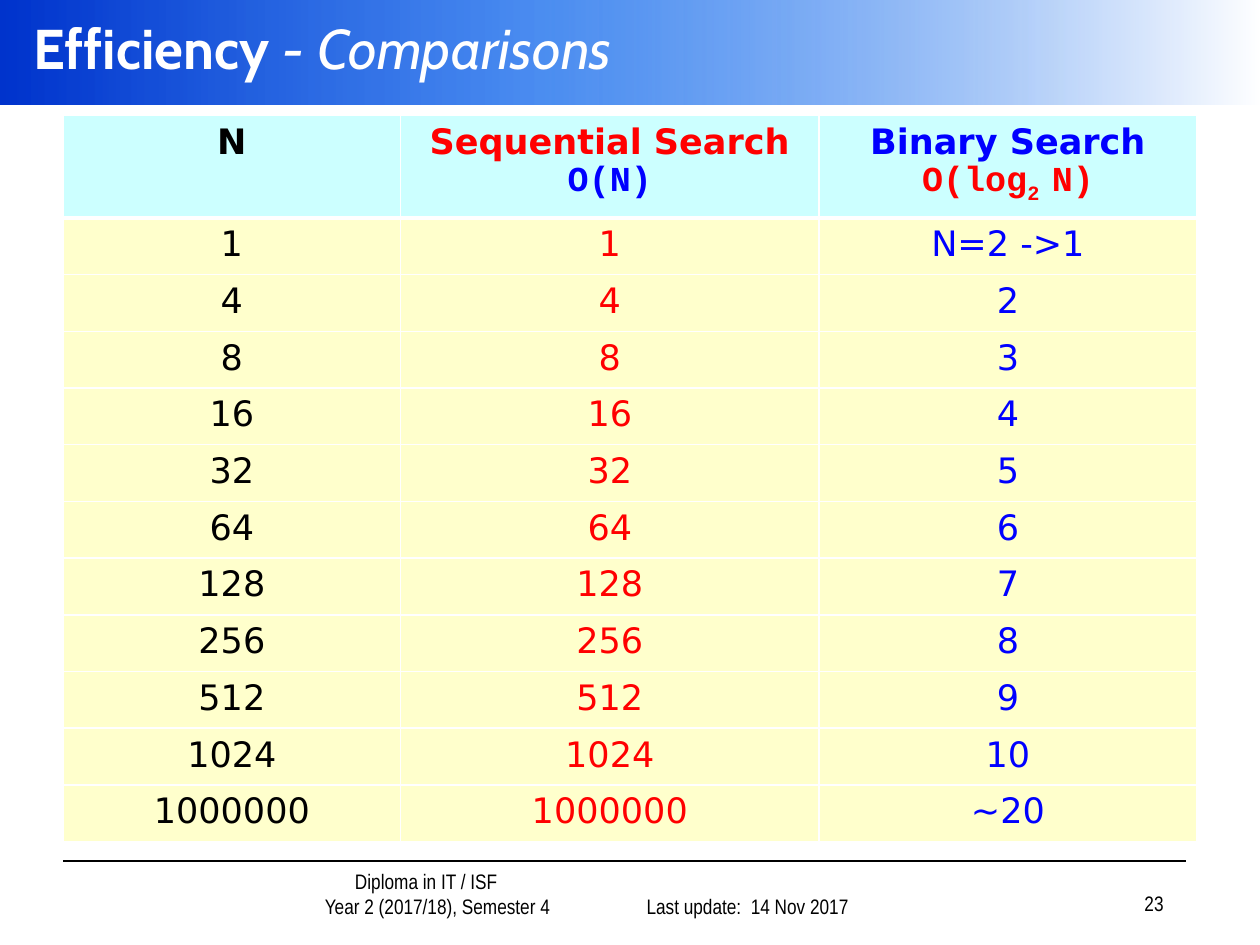
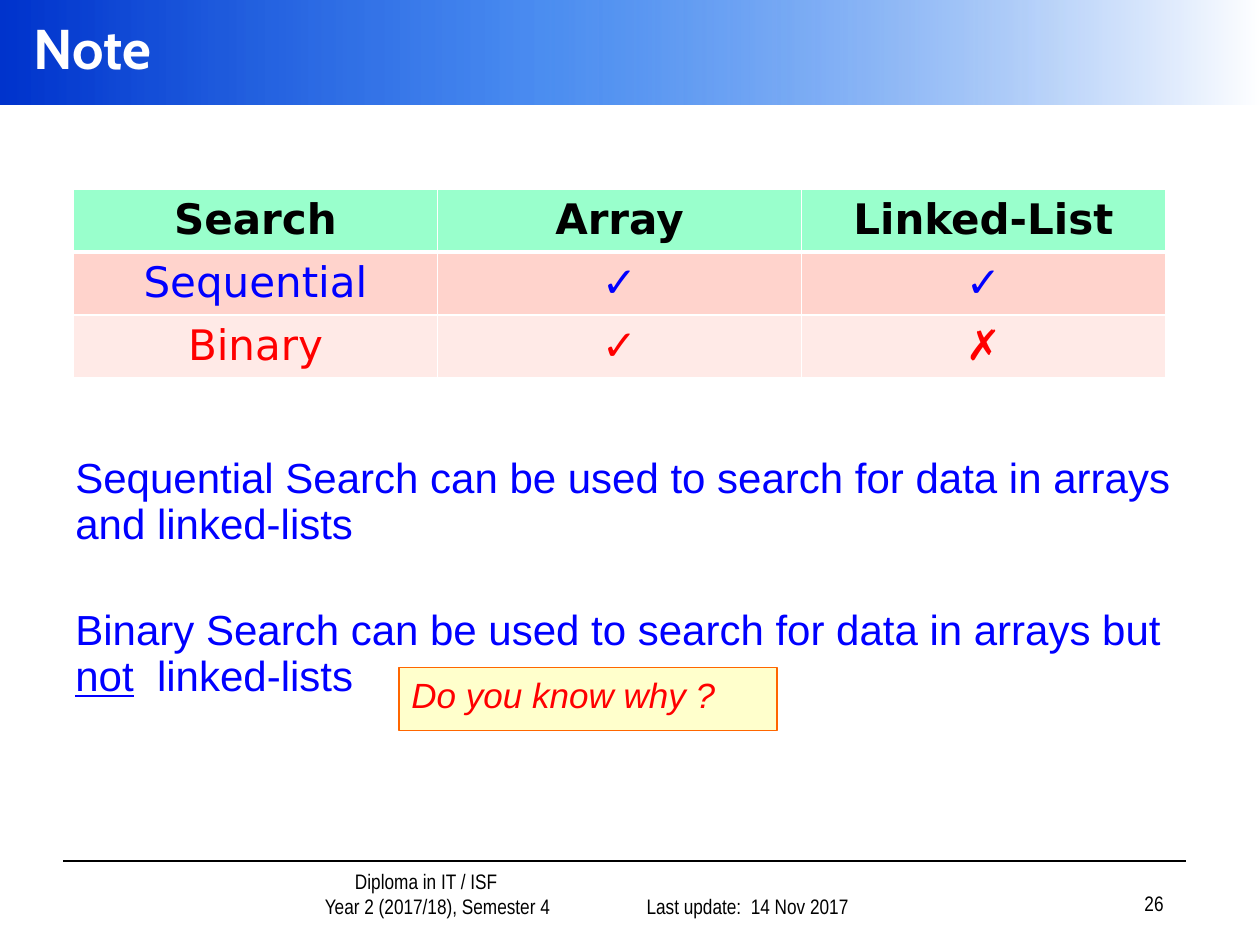
from dataclasses import dataclass, replace

from lxml import etree
from pptx import Presentation
from pptx.dml.color import RGBColor
from pptx.enum.shapes import MSO_CONNECTOR, MSO_SHAPE
from pptx.enum.text import MSO_ANCHOR, PP_ALIGN
from pptx.oxml import parse_xml
from pptx.oxml.ns import nsdecls, qn
from pptx.util import Pt

LEFT, CENTER, RIGHT = PP_ALIGN.LEFT, PP_ALIGN.CENTER, PP_ALIGN.RIGHT
TOP, MIDDLE, BOTTOM = MSO_ANCHOR.TOP, MSO_ANCHOR.MIDDLE, MSO_ANCHOR.BOTTOM
RECTANGLE = MSO_SHAPE.RECTANGLE
STRAIGHT = MSO_CONNECTOR.STRAIGHT


@dataclass(frozen=True)
class Theme:
    black: str = "000000"
    white: str = "FFFFFF"
    red: str = "FF0000"
    blue: str = "0000FF"
    band_start: str = "0033CC"
    band_middle: str = "005EEB"
    cyan: str = "CCFFFF"
    cream: str = "FFFFCC"
    mint: str = "99FFCC"
    rose: str = "FFD3CC"
    pale_rose: str = "FFEAE7"
    orange: str = "FF6600"
    title_font: str = "Cabin"
    body_font: str = "Arial"
    table_font: str = "DejaVu Sans"
    code_font: str = "Courier New"
    footer_font: str = "Arial Narrow"
    title_size: float = 32
    large_size: float = 24
    medium_size: float = 20
    footer_size: float = 12


THEME = Theme()


@dataclass(frozen=True)
class Frame:
    """Left, top, width and height in points."""
    left: float
    top: float
    width: float
    height: float

    def lengths(self) -> tuple:
        return Pt(self.left), Pt(self.top), Pt(self.width), Pt(self.height)


@dataclass(frozen=True)
class Span:
    text: str
    color: str = THEME.black
    size: float = THEME.medium_size
    font: str = THEME.table_font
    bold: bool = False
    italic: bool = False
    underline: bool = False
    baseline: int = 0


@dataclass(frozen=True)
class Para:
    spans: list[Span]
    align: PP_ALIGN = LEFT
    before: float = 0
    line_spacing: float = 1.0
    indent: float = 0


@dataclass(frozen=True)
class Cell:
    paras: list[Para]
    fill: str


def rgb(color: str) -> RGBColor:
    return RGBColor.from_string(color)


def write_paras(text_frame, paras: list[Para]) -> None:
    for number, para in enumerate(paras):
        paragraph = text_frame.add_paragraph() if number else text_frame.paragraphs[0]
        paragraph.alignment = para.align
        paragraph.space_before = Pt(para.before)
        paragraph.line_spacing = para.line_spacing
        if para.indent:
            paragraph._p.get_or_add_pPr().set("marL", str(Pt(para.indent)))
        for span in para.spans:
            run = paragraph.add_run()
            run.text = span.text
            run.font.name = span.font
            run.font.size = Pt(span.size)
            run.font.color.rgb = rgb(span.color)
            run.font.bold = span.bold
            run.font.italic = span.italic
            run.font.underline = span.underline
            if span.baseline:
                run._r.get_or_add_rPr().set("baseline", str(span.baseline * 1000))


def add_text(page, frame: Frame, paras: list[Para], anchor: MSO_ANCHOR = TOP) -> None:
    box = page.shapes.add_textbox(*frame.lengths())
    box.text_frame.word_wrap = True
    box.text_frame.vertical_anchor = anchor
    write_paras(box.text_frame, paras)


def add_rectangle(page, frame: Frame):
    shape = page.shapes.add_shape(RECTANGLE, *frame.lengths())
    shape.shadow.inherit = False
    return shape


def add_title_band(page) -> None:
    band = add_rectangle(page, Frame(0, 0, 720, 60))
    band.line.fill.background()
    band.fill.gradient()
    band.fill.gradient_angle = 0
    stops = band._element.spPr.find(qn("a:gradFill")).find(qn("a:gsLst"))
    for stop in list(stops):
        stops.remove(stop)
    for position, color, opacity in ((0, THEME.band_start, 100),
                                     (43, THEME.band_middle, 70),
                                     (100, THEME.white, 100)):
        stops.append(parse_xml(
            f'<a:gs {nsdecls("a")} pos="{position * 1000}"><a:srgbClr val="{color}">'
            f'<a:alpha val="{opacity * 1000}"/></a:srgbClr></a:gs>'))


def add_footer(page, page_number: int) -> None:
    rule = page.shapes.add_connector(STRAIGHT, Pt(36), Pt(492), Pt(678), Pt(492))
    rule.line.color.rgb = rgb(THEME.black)
    rule.line.width = Pt(1)
    etree.SubElement(rule._element.spPr, qn("a:effectLst"))

    def footer_para(text: str, align: PP_ALIGN, indent: float = 0) -> Para:
        span = Span(text, size=THEME.footer_size, font=THEME.footer_font)
        return Para([span], align, indent=indent)

    course = [footer_para("Diploma in IT / ISF", CENTER, 36),
              footer_para("Year 2 (2017/18), Semester 4", CENTER, 49)]
    add_text(page, Frame(121, 498, 209, 30.5), course, BOTTOM)
    add_text(page, Frame(342, 498, 150, 30.5),
             [footer_para("Last update:  14 Nov 2017", RIGHT)], BOTTOM)
    add_text(page, Frame(522, 497, 150, 30), [footer_para(str(page_number), RIGHT)], BOTTOM)


def start_page(deck, title: str, page_number: int, subtitle: str = ""):
    """Add a blank page with the title band, title and footer."""
    page = deck.slides.add_slide(deck.slide_layouts[6])
    add_title_band(page)
    add_footer(page, page_number)
    heading = Span(title, THEME.white, THEME.title_size, THEME.title_font, bold=True)
    spans = [heading]
    if subtitle:
        spans.append(replace(heading, text=subtitle, bold=False, italic=True))
    add_text(page, Frame(12, 0, 708, 54), [Para(spans)], MIDDLE)
    return page


def set_borders(cell, top: float, bottom: float) -> None:
    """Draw white borders; the side borders are one point wide."""
    widths = {"lnL": 1, "lnR": 1, "lnT": top, "lnB": bottom}
    properties = cell._tc.get_or_add_tcPr()
    for index, (side, width) in enumerate(widths.items()):
        properties.insert(index, parse_xml(
            f'<a:{side} {nsdecls("a")} w="{Pt(width)}"><a:solidFill>'
            f'<a:srgbClr val="{THEME.white}"/></a:solidFill></a:{side}>'))


def add_grid(page, frame: Frame, widths: list[float], heights: list[float],
             rows: list[list[Cell]]) -> None:
    table = page.shapes.add_table(len(rows), len(widths), *frame.lengths()).table
    table.horz_banding = False
    for column, width in zip(table.columns, widths):
        column.width = Pt(width)
    for row_number, (row, height) in enumerate(zip(rows, heights)):
        table.rows[row_number].height = Pt(height)
        for column_number, content in enumerate(row):
            cell = table.cell(row_number, column_number)
            cell.fill.solid()
            cell.fill.fore_color.rgb = rgb(content.fill)
            set_borders(cell, top=3 if row_number == 1 else 1,
                        bottom=3 if row_number == 0 else 1)
            write_paras(cell.text_frame, content.paras)


def build_comparisons(deck) -> None:
    page = start_page(deck, "Efficiency ", 23, "- Comparisons")
    code = Span("O(N)", THEME.blue, font=THEME.code_font, bold=True)
    log_code = replace(code, text="O(log", color=THEME.red)
    headings = [
        [[Span("N", bold=True)]],
        [[Span("Sequential Search", THEME.red, bold=True)], [code]],
        [[Span("Binary Search", THEME.blue, bold=True)],
         [log_code, replace(log_code, text="2 ", baseline=-25),
          replace(log_code, text="N)")]],
    ]
    rows = [[Cell([Para(line, CENTER) for line in lines], THEME.cyan)
             for lines in headings]]
    steps = {1: "N=2 ->1"}
    steps.update({2 ** power: str(power) for power in range(2, 11)})
    steps[1000000] = "~20"
    colors = (THEME.black, THEME.red, THEME.blue)
    for count, binary_steps in steps.items():
        rows.append([Cell([Para([Span(text, color)], CENTER)], THEME.cream)
                     for text, color in zip((str(count), str(count), binary_steps), colors)])
    heights = [57.6] + [32.4] * len(steps)
    add_grid(page, Frame(36, 66, 648, sum(heights)), [193, 239, 216], heights, rows)


def build_note(deck) -> None:
    page = start_page(deck, "Note", 26)
    table_rows = [
        (("Search", "Array", "Linked-List"), THEME.black, THEME.mint),
        (("Sequential", "✓", "✓"), THEME.blue, THEME.rose),
        (("Binary", "✓", "✗"), THEME.red, THEME.pale_rose),
    ]
    rows = [[Cell([Para([Span(text, color, THEME.large_size, bold=number == 0)], CENTER)], fill)
             for text in texts]
            for number, (texts, color, fill) in enumerate(table_rows)]
    add_grid(page, Frame(42, 108, 624, 105), [208] * 3, [35] * 3, rows)

    body = Span("Sequential Search can be used to search for data in arrays and linked-lists",
                THEME.blue, THEME.large_size, THEME.body_font)
    binary = [
        replace(body, text="Binary Search can be used to search for data in arrays but "),
        replace(body, text="not", underline=True),
        replace(body, text="  linked-lists"),
    ]
    add_text(page, Frame(36, 258, 648, 174),
             [Para([body], before=4.8, line_spacing=0.9),
              Para(binary, before=35, line_spacing=0.9)])

    question = add_rectangle(page, Frame(228, 381.5, 216, 36))
    question.fill.solid()
    question.fill.fore_color.rgb = rgb(THEME.cream)
    question.line.color.rgb = rgb(THEME.orange)
    question.line.width = Pt(0.75)
    question.text_frame.word_wrap = True
    question.text_frame.vertical_anchor = TOP
    write_paras(question.text_frame, [Para([Span(
        "Do you know why ?", THEME.red, THEME.medium_size, THEME.body_font, italic=True)])])


def main() -> None:
    deck = Presentation()
    deck.slide_width, deck.slide_height = Pt(720), Pt(540)
    build_comparisons(deck)
    build_note(deck)
    deck.save("out.pptx")


if __name__ == "__main__":
    main()
